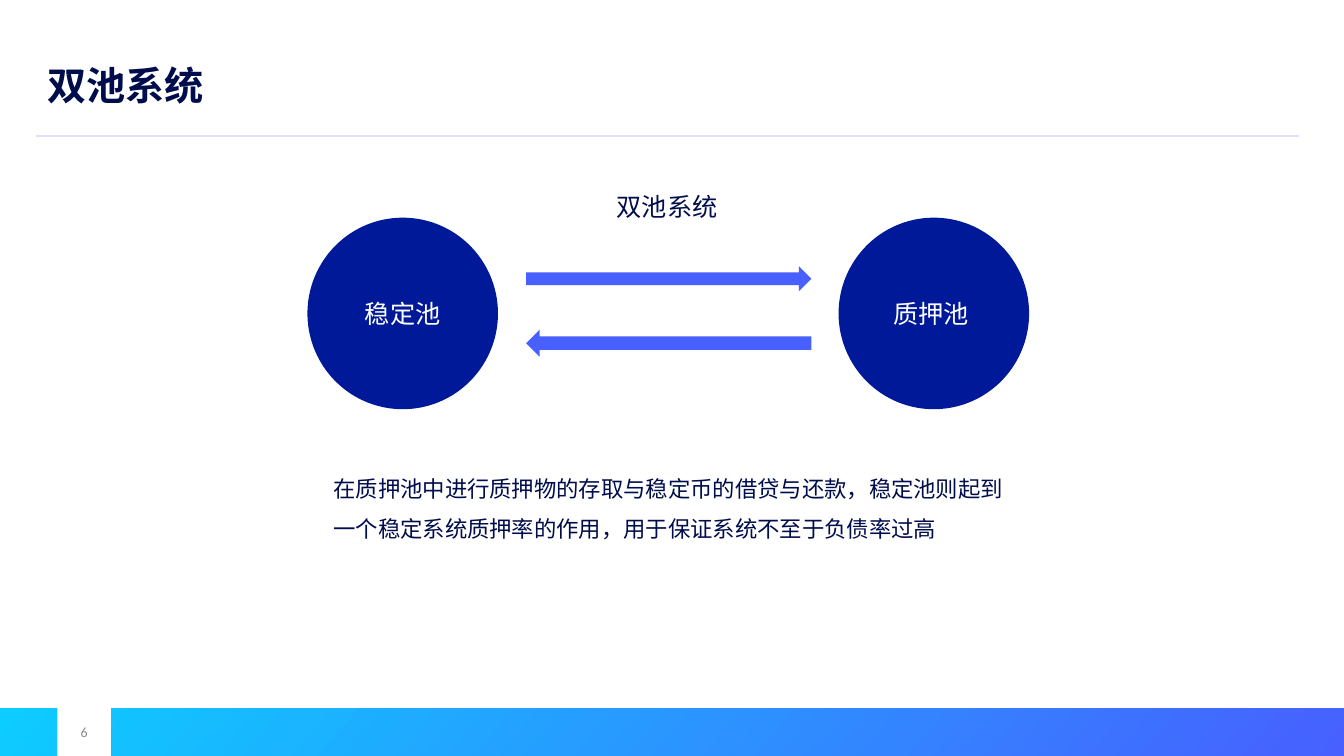
from dataclasses import dataclass
from lxml import etree
from pptx import Presentation
from pptx.dml.color import RGBColor
from pptx.enum import lang, shapes, text
from pptx.oxml import ns
from pptx.util import Pt

TITLE = "双池系统"
LABEL = "双池系统"
POOLS = ["稳定池", "质押池 "]
NOTE = "在质押池中进⾏质押物的存取与稳定币的借贷与还款，稳定池则起到⼀个稳定系统质押率的作⽤，⽤于保证系统不⾄于负债率过高"
PAGE = "6"


@dataclass(frozen=True)
class Theme:
    ink: str = "000D4C"
    pool: str = "001998"
    blue: str = "4760FF"
    cyan: str = "0DCCFF"
    rule: str = "0900ED"
    white: str = "FFFFFF"
    grey: str = "8C8C8C"
    font: str = "Calibri"
    han: str = "Noto Sans CJK SC"
    head: int = 28
    body: int = 18
    note: int = 16
    page: int = 10


T = Theme()
WIDE, HIGH = 960, 540
FOOT = 506
POOL_X, POOL_Y, POOL_W, POOL_H = 219.6, 155.5, 136.1, 136.8
POOL_STEP = 379.4
ARROW_X, ARROW_W = 375.8, 203.8
# top, height, rotation
ARROWS = [(190.1, 18, 0), (235.4, 19.4, 180)]
TAB = (41, 505.4, 38.2, 34.6)
Kind = shapes.MSO_SHAPE
Align = text.PP_ALIGN
Anchor = text.MSO_ANCHOR


def rgb(code):
    return RGBColor.from_string(code)


def points(*vals):
    return [Pt(v) for v in vals]


def write(frame, words, size, color, font=T.font, bold=False,
          align=Align.LEFT, anchor=Anchor.MIDDLE, wrap=True):
    frame.text = words
    frame.word_wrap = wrap
    frame.vertical_anchor = anchor
    para = frame.paragraphs[0]
    para.alignment = align
    run = para.runs[0]
    run.font.size, run.font.bold = Pt(size), bold
    run.font.color.rgb = rgb(color)
    run.font.name = font
    run.font.language_id = lang.MSO_LANGUAGE_ID.SIMPLIFIED_CHINESE
    east = etree.SubElement(run.font._element, ns.qn("a:ea"))
    east.set("typeface", T.han)
    return para


def draw(slide, kind, box, color=None):
    shape = slide.shapes.add_shape(kind, *points(*box))
    shape.shadow.inherit = False
    shape.line.fill.background()
    if color:
        shape.fill.solid()
        shape.fill.fore_color.rgb = rgb(color)
    return shape


def label(slide, box, *args, **opts):
    frame = slide.shapes.add_textbox(*points(*box)).text_frame
    return write(frame, *args, **opts)


def frame_page(slide):
    """Add the title, its rule and the footer band."""
    title = slide.shapes.title
    title.left, title.top, title.width, title.height = points(26.6, 26.6, 901.4, 67.7)
    write(title.text_frame, TITLE, T.head, T.ink, font=T.han, bold=True)

    rule = slide.shapes.add_connector(
        shapes.MSO_CONNECTOR.STRAIGHT, *points(25.9, 97.2, 928, 97.2))
    rule.line.width = Pt(0.5)
    rule.line.color.rgb = rgb(T.rule)
    tint = rule._element.spPr.find(".//" + ns.qn("a:srgbClr"))
    etree.SubElement(tint, ns.qn("a:alpha")).set("val", "35000")
    etree.SubElement(rule._element.spPr, ns.qn("a:effectLst"))

    band = draw(slide, Kind.RECTANGLE, (0, FOOT, WIDE, HIGH - FOOT))
    band.fill.gradient()
    band.fill.gradient_angle = 320
    for stop, color in zip(band.fill.gradient_stops, (T.cyan, T.blue)):
        stop.color.rgb = rgb(color)
    draw(slide, Kind.RECTANGLE, TAB, T.white)
    label(slide, (TAB[0], 508.3, TAB[2], 28.8), PAGE, T.page, T.grey, align=Align.CENTER)


def show_pools(slide):
    for i, name in enumerate(POOLS):
        box = (POOL_X + i * POOL_STEP, POOL_Y, POOL_W, POOL_H)
        pool = draw(slide, Kind.OVAL, box, T.pool)
        write(pool.text_frame, name, T.body, T.white, align=Align.CENTER)
    for top, high, turn in ARROWS:
        arrow = draw(slide, Kind.RIGHT_ARROW, (ARROW_X, top, ARROW_W, high), T.blue)
        arrow.rotation = turn
    label(slide, (433.4, 133.2, 87.1, 28.8), LABEL, T.body, T.ink,
          anchor=Anchor.TOP, wrap=False)
    para = label(slide, (231.1, 326.2, 497.5, 62.6), NOTE, T.note, T.ink,
                 anchor=Anchor.TOP)
    para.line_spacing = 1.5


def main():
    deck = Presentation()
    deck.slide_width, deck.slide_height = points(WIDE, HIGH)
    slide = deck.slides.add_slide(deck.slide_layouts[5])
    frame_page(slide)
    show_pools(slide)
    deck.save("out.pptx")


if __name__ == "__main__":
    main()
